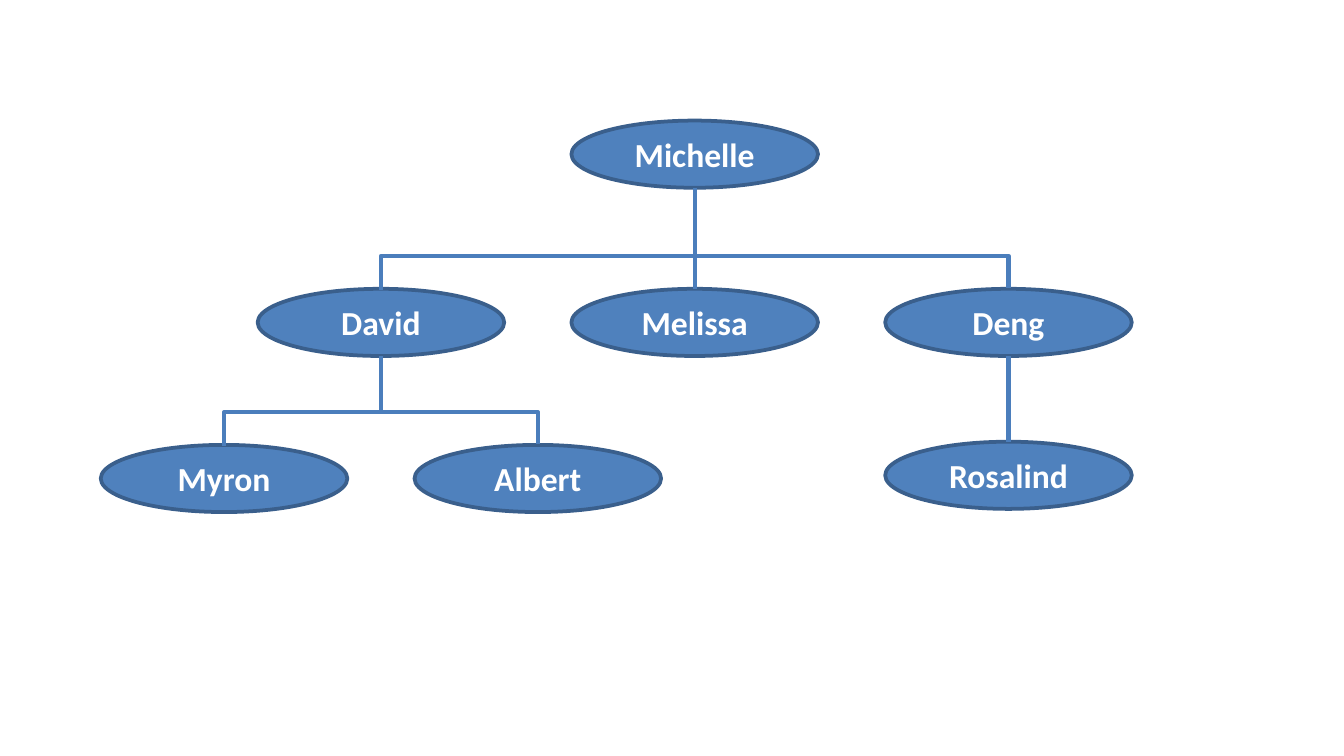
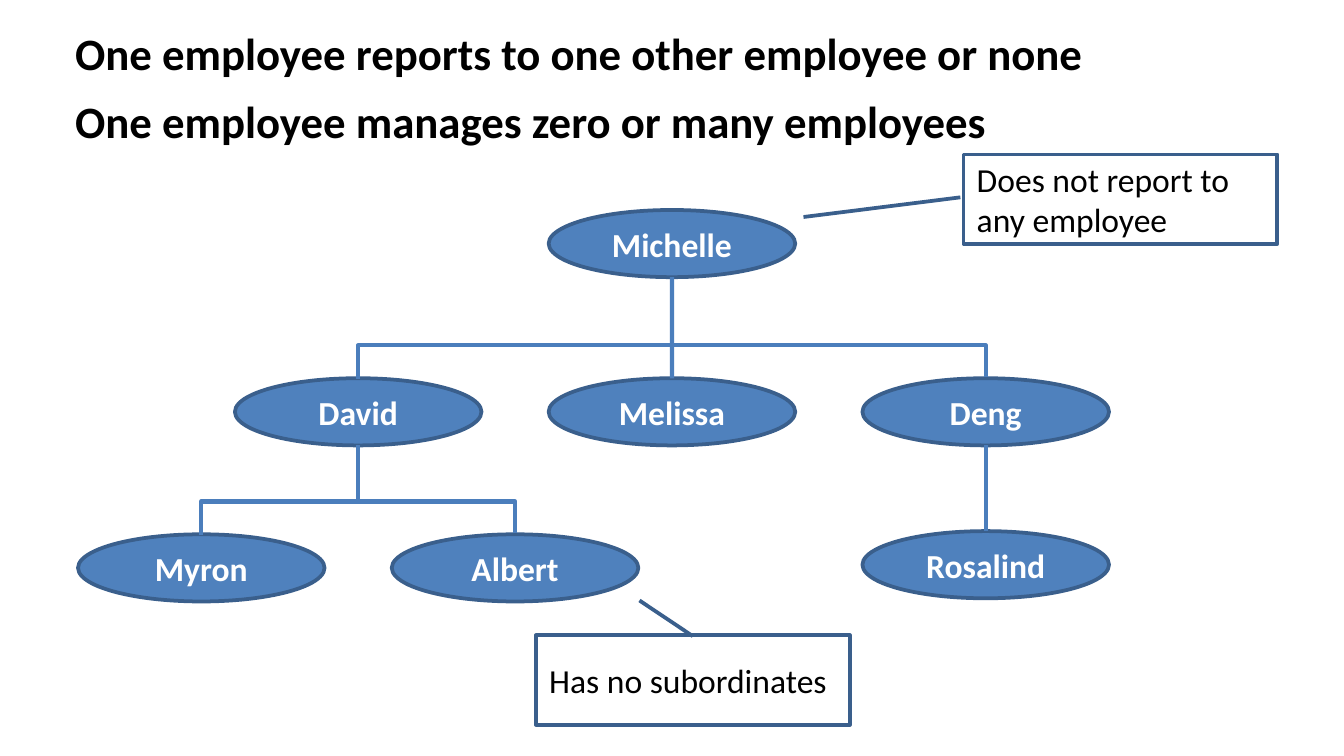
from dataclasses import dataclass

from lxml import etree
from pptx import Presentation
from pptx import util as u
from pptx.dml.color import RGBColor
from pptx.enum import shapes, text
from pptx.oxml.ns import qn

# name: (manager, column, row); column 0 stands below the top manager
EMPLOYEES = {
    "Michelle": (None, 0, "top"),
    "David": ("Michelle", -1, "middle"),
    "Melissa": ("Michelle", 0, "middle"),
    "Deng": ("Michelle", 1, "middle"),
    "Myron": ("David", -1.5, "bottom"),
    "Albert": ("David", -0.5, "bottom"),
    "Rosalind": ("Deng", 1, "single"),
}
RULES = [
    "One employee reports to one other employee or none",
    "One employee manages zero or many employees",
]
# words, left, top, pointer (y1, x1, y2, x2 as shares of the box)
CALLOUTS = [
    ("Does not report to any employee", 18.21, 2.92, (0.48, -0.01, 0.7, -0.51)),
    ("Has no subordinates", 10.13, 12.01, (0.01, 0.5, -0.39, 0.33)),
]

# Lengths in centimetres
SLIDE_SIZE = (25.4, 14.29)
NODE_WIDTH, NODE_HEIGHT = 4.66, 1.27
COLUMN_STEP = 5.93
ROW_OFFSET = {"top": 0, "middle": 3.18, "bottom": 6.13, "single": 6.07}
BAR_RISE, BAR_DEPTH = 0.64, 0.04
RULE_LEFT, RULE_TOP, RULE_STEP = 1.17, 0.37, 1.27
RULE_SIZE = (19.74, 1.27)
CALLOUT_SIZE = (5.93, 1.69)


@dataclass(frozen=True)
class Theme:
    font: str = "Calibri"
    fill: RGBColor = RGBColor(0x4F, 0x81, 0xBD)
    outline: RGBColor = RGBColor(0x3A, 0x5F, 0x8C)
    link: RGBColor = RGBColor(0x4B, 0x7E, 0xBC)
    light: RGBColor = RGBColor(0xFF, 0xFF, 0xFF)
    dark: RGBColor = RGBColor(0x00, 0x00, 0x00)
    rule_size: u.Pt = u.Pt(24)
    label_size: u.Pt = u.Pt(18)
    outline_width: u.Pt = u.Pt(2)
    link_width: u.Pt = u.Pt(2.25)


THEME = Theme()


def lengths(*values):
    return [u.Cm(value) for value in values]


def write(box, words, size, color, bold=False, align=text.PP_ALIGN.LEFT):
    para = box.text_frame.paragraphs[0]
    para.text = words
    para.alignment = align
    font = para.font
    font.name, font.size, font.bold = THEME.font, size, bold
    font.color.rgb = color


def add_outlined(page, kind, left, top, size):
    shape = page.shapes.add_shape(kind, *lengths(left, top, *size))
    shape.shadow.inherit = False
    shape.line.color.rgb = THEME.outline
    shape.line.width = THEME.outline_width
    shape.text_frame.vertical_anchor = text.MSO_ANCHOR.MIDDLE
    return shape


def add_node(page, name, left, top):
    node = add_outlined(page, shapes.MSO_SHAPE.OVAL, left, top, (NODE_WIDTH, NODE_HEIGHT))
    node.fill.solid()
    node.fill.fore_color.rgb = THEME.fill
    write(node, name, THEME.label_size, THEME.light, True, text.PP_ALIGN.CENTER)
    return node


def add_link(page, kind, *ends):
    link = page.shapes.add_connector(kind, *lengths(*ends))
    link.line.color.rgb = THEME.link
    link.line.width = THEME.link_width
    etree.SubElement(link.element.spPr, qn("a:effectLst"))
    return link


def add_bar(page, first_x, last_x, top):
    """Bracket that joins the tops of the first and last report."""
    middle, half_span, half_depth = (first_x + last_x) / 2, (last_x - first_x) / 2, BAR_DEPTH / 2
    bar = add_link(
        page, shapes.MSO_CONNECTOR.ELBOW,
        middle + half_depth, top + half_span, middle - half_depth, top - half_span,
    )
    properties = bar.element.spPr
    properties.find(qn("a:xfrm")).set("rot", str(90 * 60000))
    guides = properties.find(qn("a:prstGeom")).get_or_add_avLst()
    rise = round(BAR_RISE / BAR_DEPTH * 100000)
    etree.SubElement(guides, qn("a:gd"), name="adj1", fmla=f"val {rise}")


def add_tree(page, left, top):
    """Draw the hierarchy with the top manager's oval at left, top."""
    corners = {
        name: (left + column * COLUMN_STEP, top + ROW_OFFSET[row])
        for name, (_, column, row) in EMPLOYEES.items()
    }
    nodes = {name: add_node(page, name, *corner) for name, corner in corners.items()}
    for manager, (manager_left, manager_top) in corners.items():
        reports = [name for name, (boss, _, _) in EMPLOYEES.items() if boss == manager]
        if not reports:
            continue
        center, bottom = manager_left + NODE_WIDTH / 2, manager_top + NODE_HEIGHT
        reports_top = corners[reports[0]][1]
        if len(reports) > 1:
            first_x, last_x = (corners[reports[i]][0] + NODE_WIDTH / 2 for i in (0, -1))
            add_bar(page, first_x, last_x, reports_top)
        below = [name for name in reports if corners[name][0] == manager_left]
        stem_end = reports_top if below else reports_top - BAR_RISE
        stem = add_link(page, shapes.MSO_CONNECTOR.STRAIGHT, center, bottom, center, stem_end)
        if below:
            stem.end_connect(nodes[below[0]], 0)


def add_rule(page, words, top):
    box = page.shapes.add_textbox(*lengths(RULE_LEFT, top, *RULE_SIZE))
    box.text_frame.word_wrap = False
    box.text_frame.auto_size = text.MSO_AUTO_SIZE.SHAPE_TO_FIT_TEXT
    write(box, words, THEME.rule_size, THEME.dark, True)


def add_callout(page, words, left, top, pointer):
    callout = add_outlined(page, shapes.MSO_SHAPE.LINE_CALLOUT_1, left, top, CALLOUT_SIZE)
    callout.fill.background()
    for index, share in enumerate(pointer):
        callout.adjustments[index] = share
    write(callout, words, THEME.label_size, THEME.dark)


def main():
    deck = Presentation()
    deck.slide_width, deck.slide_height = lengths(*SLIDE_SIZE)
    blank = deck.slide_layouts[6]

    add_tree(deck.slides.add_slide(blank), 10.8, 2.28)

    page = deck.slides.add_slide(blank)
    for index, words in enumerate(RULES):
        add_rule(page, words, RULE_TOP + index * RULE_STEP)
    add_tree(page, 10.37, 3.97)
    for callout in CALLOUTS:
        add_callout(page, *callout)

    deck.save("out.pptx")


if __name__ == "__main__":
    main()
